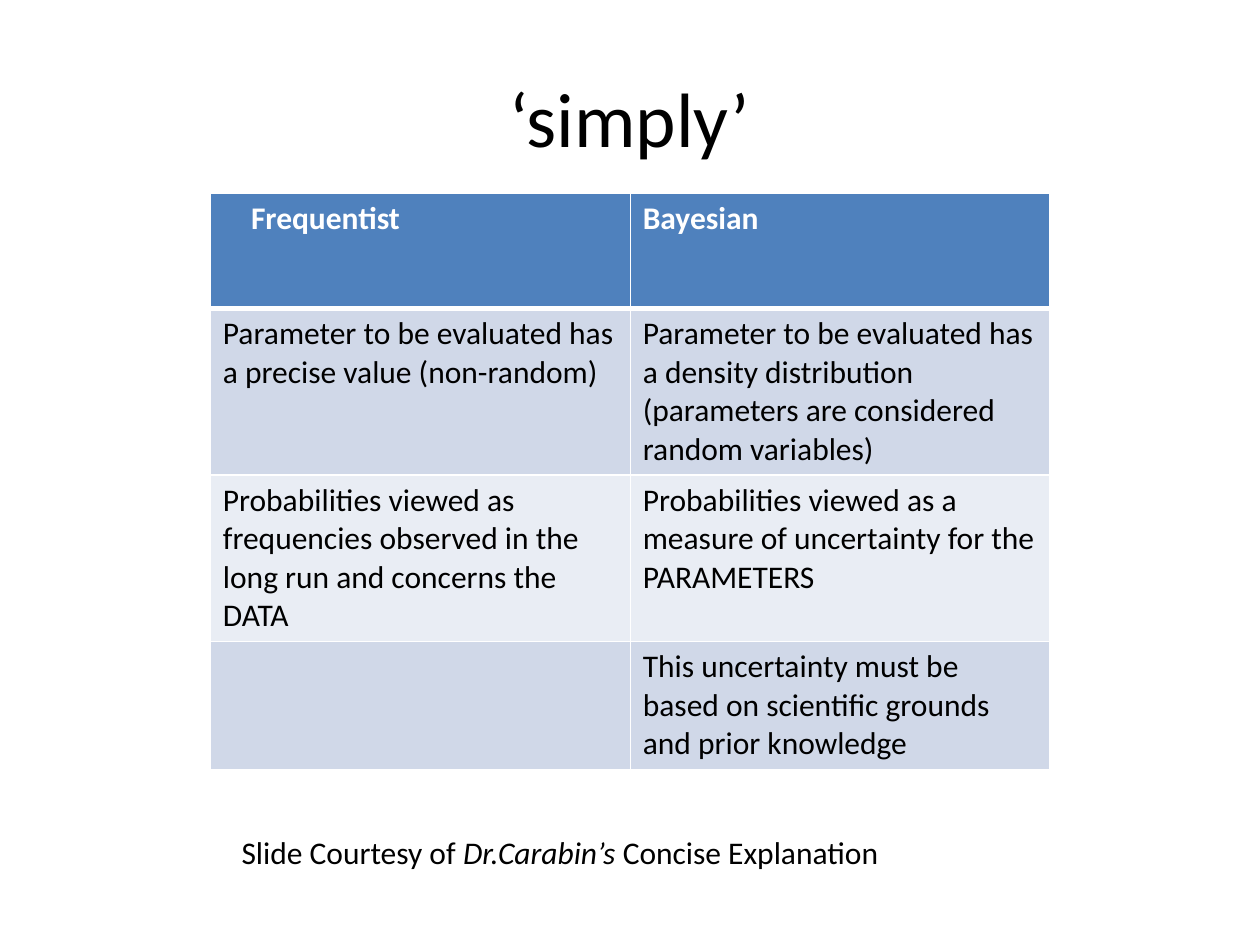
from lxml import etree
from pptx import Presentation
from pptx.dml.color import RGBColor
from pptx.enum.text import MSO_ANCHOR, MSO_AUTO_SIZE, PP_ALIGN
from pptx.oxml.ns import qn
from pptx.util import Cm, Pt

CENTER, LEFT = PP_ALIGN.CENTER, PP_ALIGN.LEFT
MIDDLE = MSO_ANCHOR.MIDDLE
GROW = MSO_AUTO_SIZE.SHAPE_TO_FIT_TEXT
TITLE_ONLY = 5
FONT = "Calibri"
COLORS = {"ink": "000000", "white": "FFFFFF", "header": "4F81BD",
          "odd": "D0D8E8", "even": "E9EDF4"}
ROWS = [
    ("Frequentist", "Bayesian"),
    ("Parameter to be evaluated has a precise value (non-random)",
     "Parameter to be evaluated has a density distribution "
     "(parameters are considered random variables)"),
    ("Probabilities viewed as frequencies observed in the long run "
     "and concerns the DATA",
     "Probabilities viewed as a measure of uncertainty for the PARAMETERS"),
    ("", "This uncertainty must be based on scientific grounds "
         "and prior knowledge"),
]


def add_span(para, text, size=18, color="ink", bold=False, italic=False):
    """Append formatted text to a paragraph."""
    span = para.add_run()
    span.text = text
    font = span.font
    font.name, font.size = FONT, Pt(size)
    font.bold, font.italic = bold, italic
    font.color.rgb = RGBColor.from_string(COLORS[color])


def set_borders(cell, **widths):
    """Give a cell white borders, with widths in points by side."""
    properties = cell._tc.get_or_add_tcPr()
    for side in "LRTB":
        line = etree.SubElement(properties, qn(f"a:ln{side}"),
                                w=str(Pt(widths.get(side, 1))))
        fill = etree.SubElement(line, qn("a:solidFill"))
        etree.SubElement(fill, qn("a:srgbClr"), val=COLORS["white"])


def add_title(page, text):
    """Place and fill the title placeholder."""
    title = page.shapes.title
    title.left, title.top = Cm(1.27), Cm(0.76)
    title.width, title.height = Cm(22.86), Cm(3.18)
    frame = title.text_frame
    frame.vertical_anchor = MIDDLE
    para = frame.paragraphs[0]
    para.alignment = CENTER
    add_span(para, text, size=44)


def add_comparison(page, rows):
    """Add the two-column table with a header and banded rows."""
    table = page.shapes.add_table(len(rows), 2, Cm(4.24), Cm(3.89),
                                  Cm(16.93), Cm(9.32)).table
    for row, texts in enumerate(rows):
        header = row == 0
        band = "header" if header else "odd" if row % 2 else "even"
        for column, text in enumerate(texts):
            cell = table.cell(row, column)
            set_borders(cell, T=3 if row == 1 else 1, B=3 if header else 1)
            cell.fill.solid()
            cell.fill.fore_color.rgb = RGBColor.from_string(COLORS[band])
            if text:
                add_span(cell.text_frame.paragraphs[0], text, bold=header,
                         color="white" if header else "ink")
    table.cell(0, 0).margin_left = Cm(0.82)


def add_credit(page, spans):
    """Add the credit line from pairs of text and italic flag."""
    box = page.shapes.add_textbox(Cm(4.62), Cm(16.66), Cm(13.59), Cm(1.02))
    frame = box.text_frame
    frame.word_wrap = False
    frame.auto_size = GROW
    para = frame.paragraphs[0]
    para.alignment = LEFT
    for text, italic in spans:
        add_span(para, text, italic=italic)


def main():
    """Build and save the deck."""
    deck = Presentation()
    deck.slide_width, deck.slide_height = Cm(25.4), Cm(19.05)
    page = deck.slides.add_slide(deck.slide_layouts[TITLE_ONLY])
    add_title(page, "‘simply’")
    add_comparison(page, ROWS)
    add_credit(page, [("Slide Courtesy of ", False), ("Dr.Carabin’s", True),
                      (" Concise Explanation", False)])
    deck.save("out.pptx")


main()
